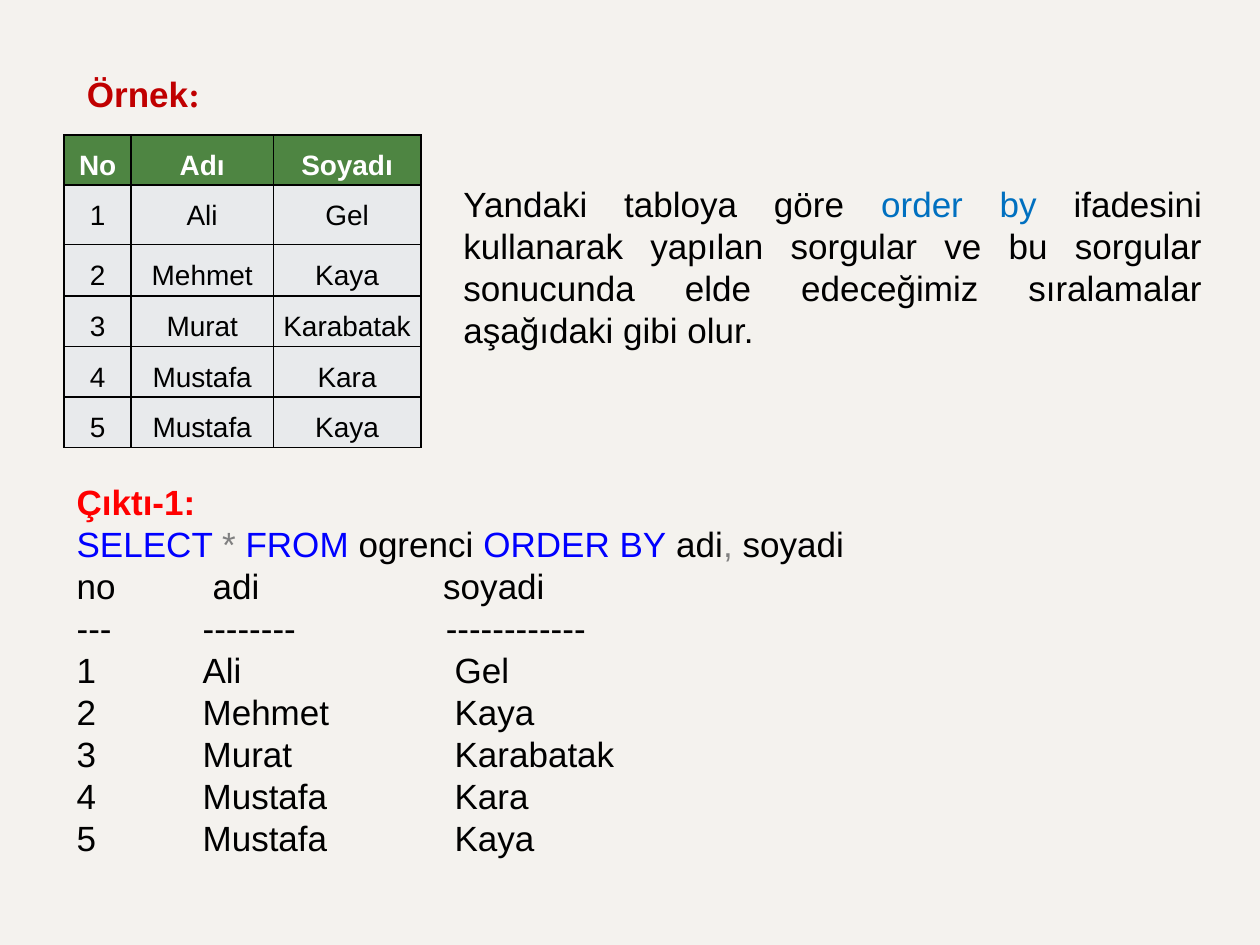
from dataclasses import dataclass

from lxml.etree import SubElement
from pptx import Presentation
from pptx.dml.color import RGBColor
from pptx.enum.text import MSO_ANCHOR as Anchor, MSO_AUTO_SIZE as AutoSize, PP_ALIGN as Align
from pptx.oxml import parse_xml
from pptx.oxml.ns import nsdecls, qn
from pptx.util import Inches, Pt

BLACK, WHITE, BLUE, GRAY = "000000", "FFFFFF", "0000FF", "808080"
DARK_RED, RED, SKY_BLUE = "C00000", "FF0000", "0070C0"
GREEN, PALE, BACKGROUND = "4E8542", "E8EAEC", "F4F2EE"

COLUMN_WIDTHS = (0.53, 1.13, 1.17)
ROW_HEIGHTS = (0.4, 0.47, 0.41, 0.38, 0.38, 0.38)
HEADER = ("No", "Adı", "Soyadı")
STUDENTS = (
    ("1", "Ali", "Gel"),
    ("2", "Mehmet", "Kaya"),
    ("3", "Murat", "Karabatak"),
    ("4", "Mustafa", "Kara"),
    ("5", "Mustafa", "Kaya"),
)


@dataclass(frozen=True)
class Span:
    text: str
    color: str = BLACK
    bold: bool = False
    font: str = "Arial"
    size: int = 20


@dataclass(frozen=True)
class Line:
    spans: tuple[Span, ...]
    tabs: tuple[float, ...] = ()
    align: Align = Align.LEFT


@dataclass(frozen=True)
class Area:
    left: float
    top: float
    width: float
    height: float

    def lengths(self):
        return [Inches(value) for value in (self.left, self.top, self.width, self.height)]


def rgb(color: str) -> RGBColor:
    return RGBColor.from_string(color)


def add_spans(para, spans: tuple[Span, ...]) -> None:
    for span in spans:
        run = para.add_run()
        run.text = span.text
        run.font.name = span.font
        run.font.size = Pt(span.size)
        run.font.bold = span.bold
        run.font.color.rgb = rgb(span.color)


def add_tab_stops(para, tabs: tuple[float, ...]) -> None:
    tab_list = SubElement(para._p.get_or_add_pPr(), qn("a:tabLst"))
    for position in tabs:
        SubElement(tab_list, qn("a:tab"), pos=str(Inches(position)), algn="l")


def fill_frame(frame, lines: list[Line], wrap: bool = True) -> None:
    frame.word_wrap = wrap
    frame.auto_size = AutoSize.SHAPE_TO_FIT_TEXT
    frame.vertical_anchor = Anchor.MIDDLE
    for index, line in enumerate(lines):
        para = frame.add_paragraph() if index else frame.paragraphs[0]
        para.alignment = line.align
        if line.tabs:
            add_tab_stops(para, line.tabs)
        add_spans(para, line.spans)


def add_text(page, area: Area, lines: list[Line]) -> None:
    box = page.shapes.add_textbox(*area.lengths())
    fill_frame(box.text_frame, lines)


def add_borders(cell) -> None:
    properties = cell._tc.get_or_add_tcPr()
    for side in ("lnL", "lnR", "lnT", "lnB"):
        properties.append(parse_xml(
            f'<a:{side} {nsdecls("a")} w="{Pt(1)}"><a:solidFill>'
            f'<a:srgbClr val="{BLACK}"/></a:solidFill></a:{side}>'))


def fill_cell(cell, text: str, is_header: bool) -> None:
    add_borders(cell)
    cell.fill.solid()
    cell.fill.fore_color.rgb = rgb(GREEN if is_header else PALE)
    cell.margin_left = cell.margin_right = Inches(0.07)
    cell.margin_top = cell.margin_bottom = 0
    para = cell.text_frame.paragraphs[0]
    para.alignment = Align.CENTER
    para.line_spacing = 1.5
    para.space_after = Pt(6)
    add_spans(para, (Span(text, WHITE if is_header else BLACK, is_header, size=16),))


def add_student_table(page, area: Area) -> None:
    rows = (HEADER, *STUDENTS)
    table = page.shapes.add_table(len(rows), len(HEADER), *area.lengths()).table
    table.horz_banding = False
    for column, width in zip(table.columns, COLUMN_WIDTHS):
        column.width = Inches(width)
    for row, height, texts in zip(table.rows, ROW_HEIGHTS, rows):
        row.height = Inches(height)
        for cell, text in zip(row.cells, texts):
            fill_cell(cell, text, texts is HEADER)


def tabbed_line(texts: tuple[str, ...], tabs: tuple[float, ...]) -> Line:
    return Line((Span("\t".join(texts)),), tabs)


def main() -> None:
    deck = Presentation()
    deck.slide_width, deck.slide_height = Inches(10), Inches(7.5)
    page = deck.slides.add_slide(deck.slide_layouts[5])
    page.background.fill.solid()
    page.background.fill.fore_color.rgb = rgb(BACKGROUND)

    title = page.shapes.title
    title.left, title.top, title.width, title.height = Area(0.59, 0.52, 1.17, 0.44).lengths()
    heading = (Span("Örnek", DARK_RED, True), Span(":", DARK_RED, True, "Times New Roman"))
    fill_frame(title.text_frame, [Line(heading)], wrap=False)

    add_student_table(page, Area(0.51, 1.07, sum(COLUMN_WIDTHS), sum(ROW_HEIGHTS)))

    add_text(page, Area(3.58, 1.39, 6.06, 1.45), [Line((
        Span("Yandaki tabloya göre "),
        Span("order by", SKY_BLUE),
        Span(" ifadesini kullanarak yapılan sorgular ve bu sorgular sonucunda "
             "elde edeceğimiz sıralamalar aşağıdaki gibi olur."),
    ), align=Align.JUSTIFY)])

    query = Line((
        Span("SELECT ", BLUE), Span("* ", GRAY), Span("FROM ", BLUE), Span("ogrenci "),
        Span("ORDER BY", BLUE), Span(" adi"), Span(", ", GRAY), Span("soyadi"),
    ))
    add_text(page, Area(0.51, 3.75, 9.33, 3.13), [
        Line((Span("Çıktı-1:", RED, True),)),
        query,
        tabbed_line(("no", "adi", "soyadi"), (1.08, 2.91)),
        tabbed_line(("-" * 3, "-" * 8, "-" * 12), (1, 2.93)),
        *(tabbed_line(student, (1, 3)) for student in STUDENTS),
    ])
    deck.save("out.pptx")


if __name__ == "__main__":
    main()
